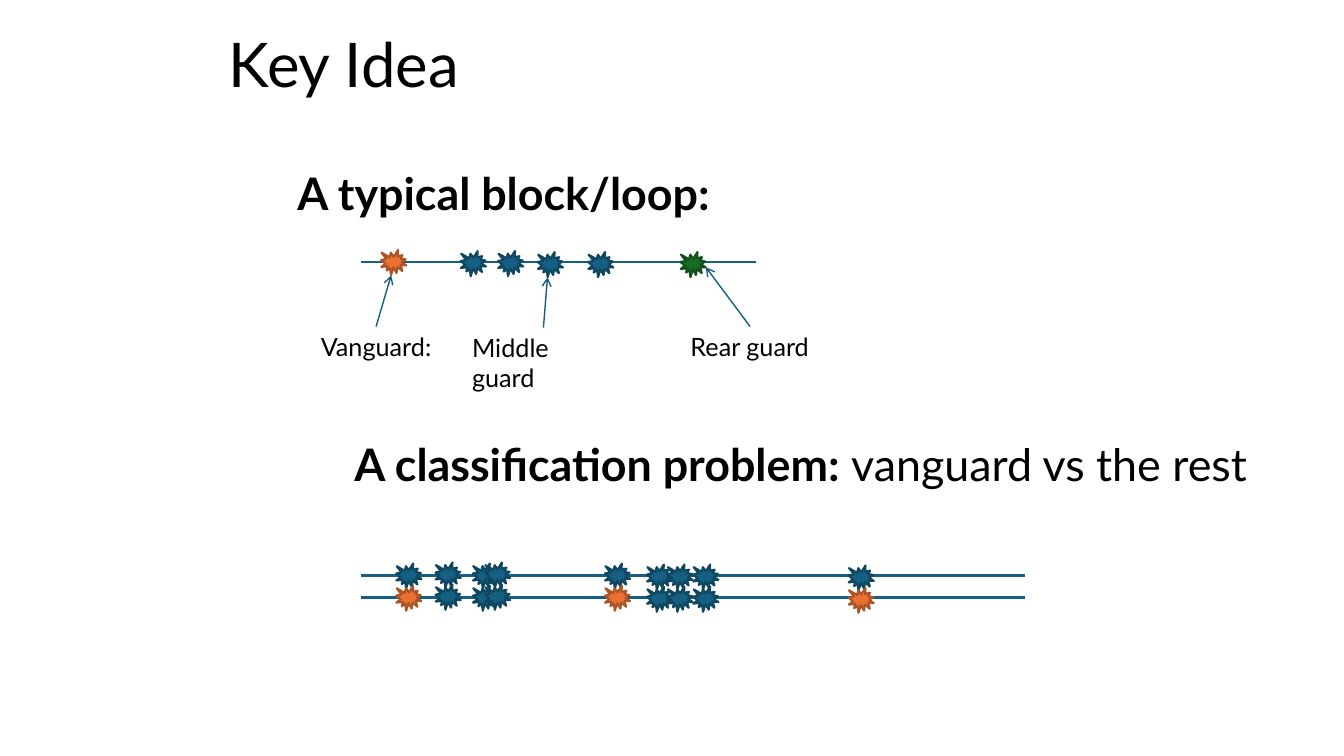
from pptx import Presentation
from pptx.dml.color import RGBColor
from pptx.enum.shapes import MSO_CONNECTOR, MSO_SHAPE
from pptx.enum.text import MSO_ANCHOR, MSO_AUTO_SIZE, PP_ALIGN
from pptx.oxml.ns import qn
from pptx.util import Inches, Pt
from lxml.etree import SubElement

COLORS = {"text": "000000",
          "middle": "156082", "middle_edge": "104760",
          "vanguard": "E97132", "vanguard_edge": "AC5425",
          "rear": "196B24", "rear_edge": "124F1B"}

prs = Presentation()
prs.slide_width, prs.slide_height = Inches(13.33), Inches(7.5)
CELL = prs.slide_height / 90  # square grid of 160 columns by 90 rows
s = prs.slides.add_slide(prs.slide_layouts[5])


def write(sp, runs, size, **frame):
    tf = sp.text_frame
    for name, value in frame.items():
        setattr(tf, name, value)
    p = tf.paragraphs[0]
    p.alignment = PP_ALIGN.LEFT
    for text, bold in runs:
        r = p.add_run()
        r.text = text
        for name, value in {"name": "Lato", "size": Pt(size), "bold": bold}.items():
            setattr(r.font, name, value)
        r.font.color.rgb = RGBColor.from_string(COLORS["text"])
    return p


def add_line(shapes, ends, width, arrow=False):
    line = shapes.add_connector(MSO_CONNECTOR.STRAIGHT, *[round(v * CELL) for v in ends])
    line.line.color.rgb = RGBColor.from_string(COLORS["middle"])
    line.line.width = Pt(width)
    if arrow:
        SubElement(line.line._get_or_add_ln(), qn("a:tailEnd"), type="arrow")
    SubElement(line._element.spPr, qn("a:effectLst"))


# Title
title = s.shapes.title
title.left, title.top, title.width, title.height = [
    round(v * CELL) for v in (26, 0.6, 108, 15)]
p = write(title, [("Key Idea", False)], 44, vertical_anchor=MSO_ANCHOR.MIDDLE)
p.line_spacing = 0.9

# Timelines: row, end column, line width, then column, rise and kind of each star
block = [(45.36, 1.44, "vanguard"), (59.28, 1.32, "middle"), (54.84, 1.32, "middle"),
         (81, 1.2, "rear"), (64, 1.2, "middle"), (70, 1.2, "middle")]
guards = [(47.16, 1.44, "vanguard"), (51.84, 1.56, "middle"), (56.28, 1.44, "middle"),
          (72, 1.44, "vanguard"), (77, 1.32, "middle"), (79.44, 1.32, "middle"),
          (101, 1.2, "vanguard"), (57.72, 1.56, "middle"), (82.5, 1.32, "middle")]
unlabelled = [(col, rise, "middle") for col, rise, kind in guards]
groups = []
for row, end, width, stars in [(68.52, 122, 2.5, unlabelled), (31.2, 90, 1.5, block),
                               (71.16, 122, 2.5, guards)]:
    group = s.shapes.add_group_shape()
    groups.append(group)
    add_line(group.shapes, (43, row, end, row), width)
    for col, rise, kind in stars:
        sp = group.shapes.add_shape(MSO_SHAPE.EXPLOSION1, *[
            round(v * CELL) for v in (col, row - rise, 3, 3)])
        sp.shadow.inherit = False
        sp.fill.solid()
        sp.fill.fore_color.rgb = RGBColor.from_string(COLORS[kind])
        sp.line.color.rgb = RGBColor.from_string(COLORS[kind + "_edge"])
        sp.line.width = Pt(1.5)

# Arrows from the labels to the stars of the block
for ends in [(44.76, 38.88, 46.56, 32.76), (64.68, 39, 65.16, 33), (89.28, 38.88, 84, 31.8)]:
    add_line(groups[1].shapes, ends, 1, arrow=True)

# Headings and labels: parent, box, size, wrap, runs
block_shapes = groups[1].shapes
for shapes, box, size, wrap, runs in [
        (s.shapes, (34.2, 19.08, 52.92, 7.68), 32, False, [("A typical block/loop:", True)]),
        (s.shapes, (41, 51.36, 112, 7.68), 32, False,
         [("A classification problem: ", True), ("vanguard vs the rest", False)]),
        (block_shapes, (37, 38.88, 15.6, 4.8), 18, False, [("Vanguard:", False)]),
        (block_shapes, (55, 39, 19.32, 4.8), 18, True, [("Middle guard", False)]),
        (block_shapes, (81, 38.88, 16.56, 4.8), 18, False, [("Rear guard", False)])]:
    sp = shapes.add_textbox(*[round(v * CELL) for v in box])
    write(sp, runs, size, word_wrap=wrap, auto_size=MSO_AUTO_SIZE.SHAPE_TO_FIT_TEXT)
    if wrap:
        sp.text_frame.margin_right = round(4 * CELL)

prs.save("out.pptx")
